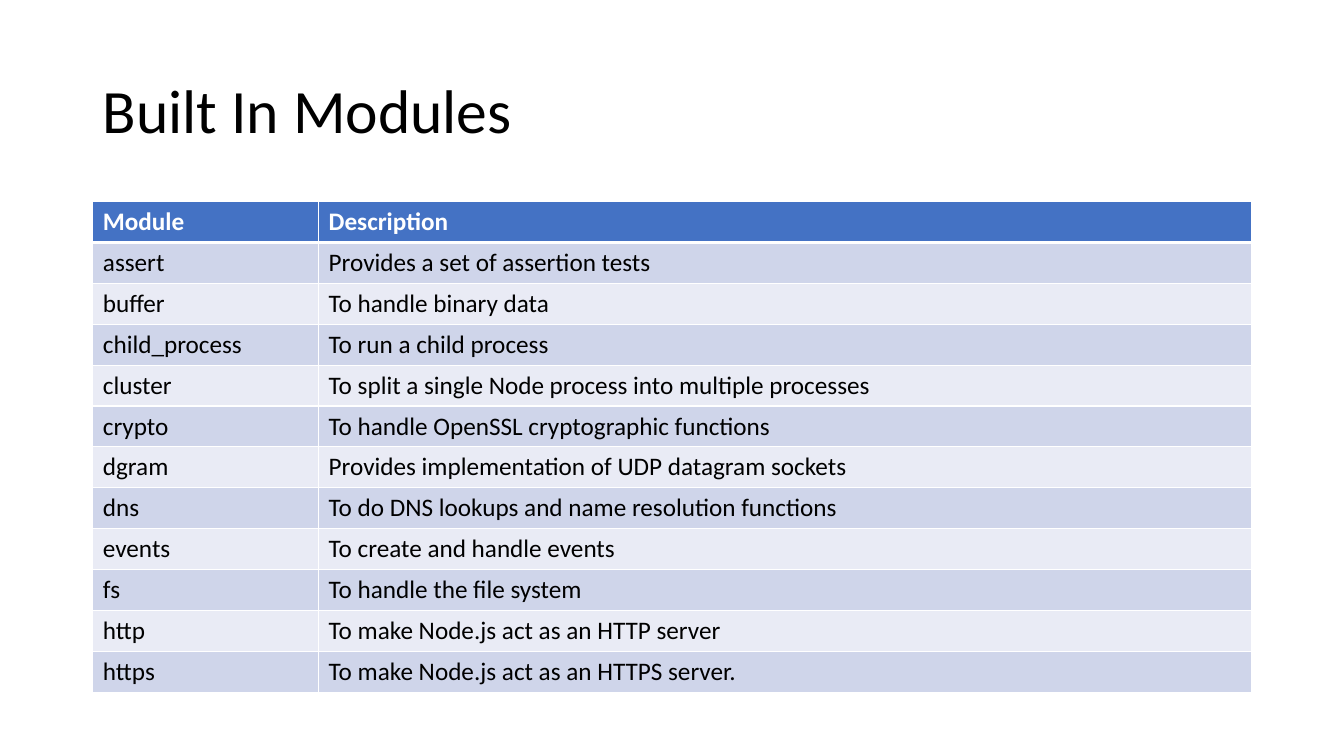
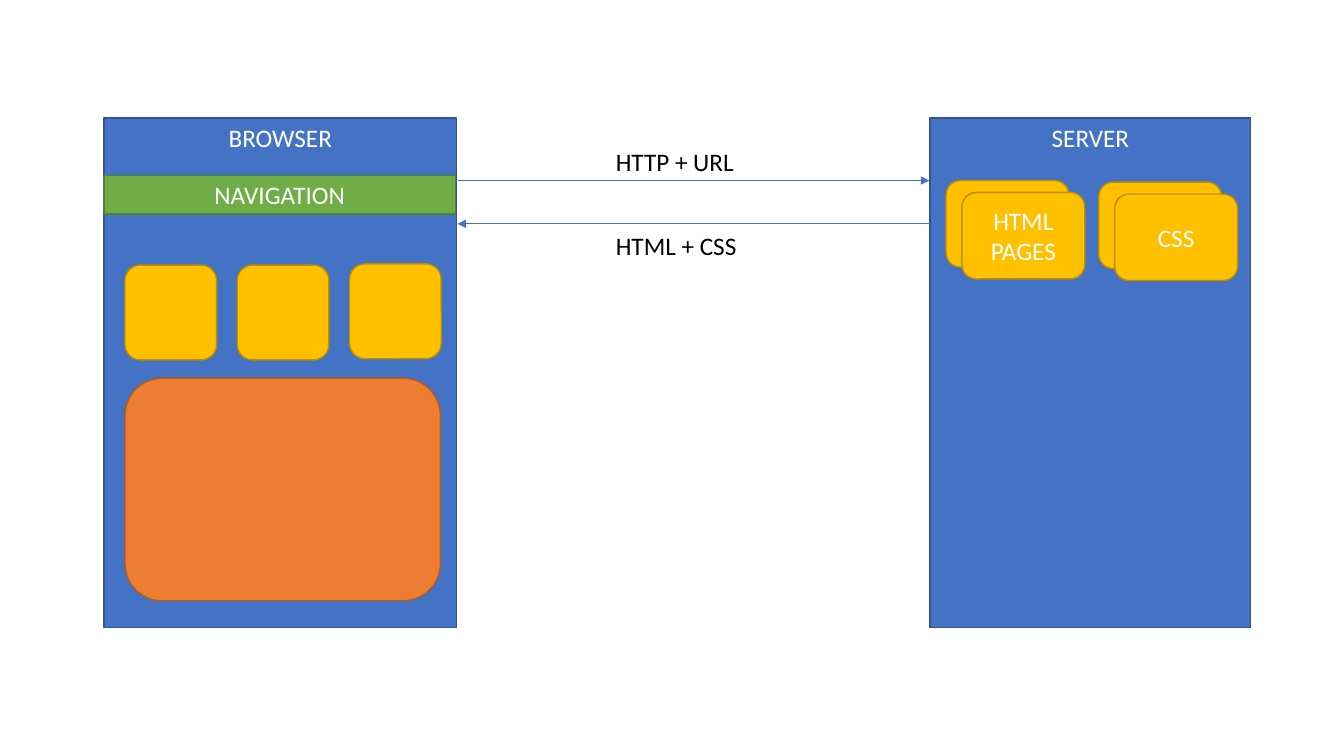
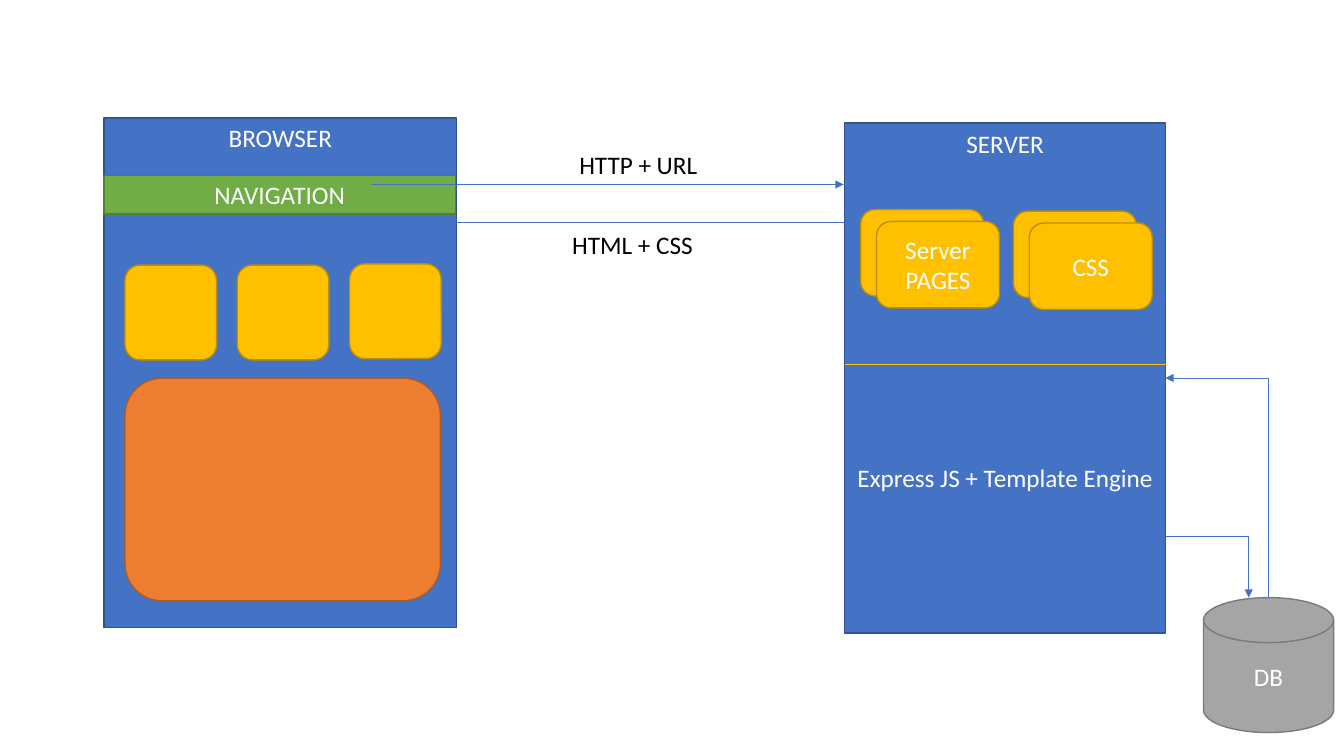
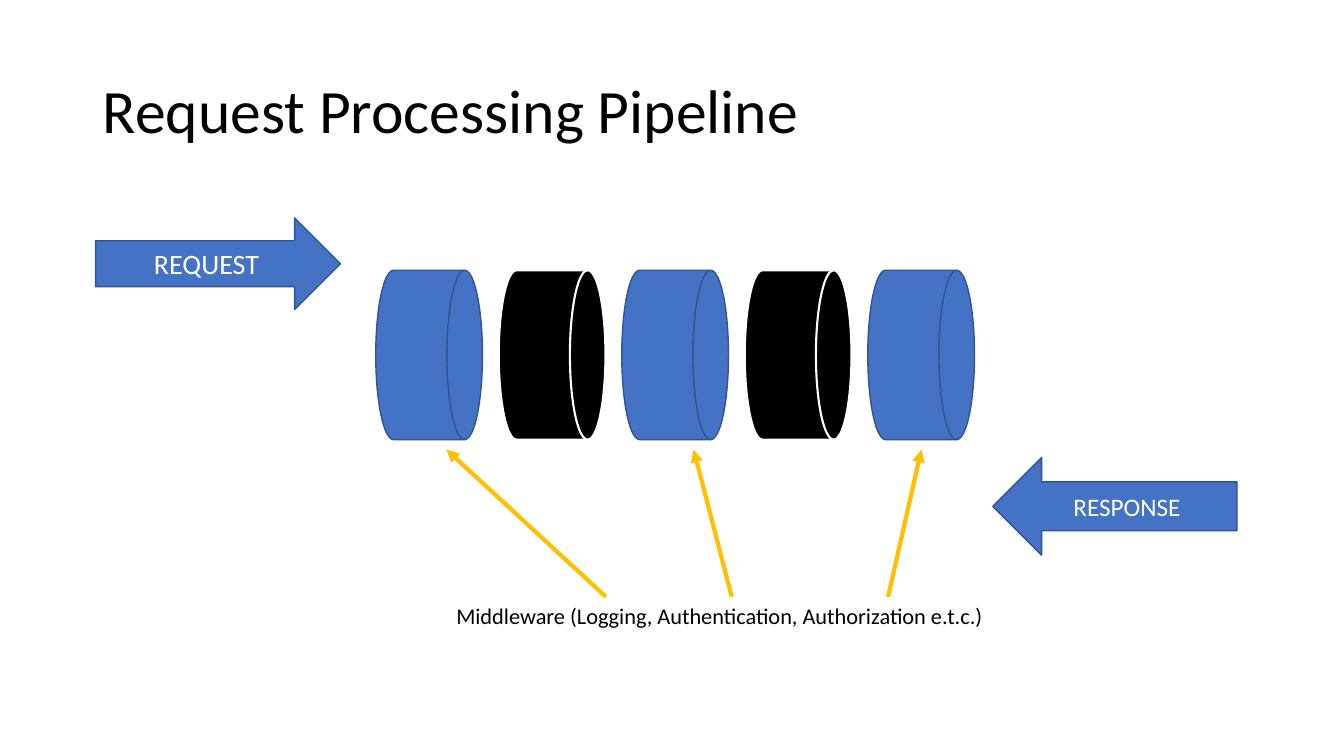
from dataclasses import dataclass

from lxml.etree import SubElement
from pptx import Presentation
from pptx.dml.color import RGBColor
from pptx.enum.shapes import MSO_CONNECTOR as Connector, MSO_SHAPE as Preset
from pptx.enum.text import MSO_ANCHOR as Anchor, MSO_AUTO_SIZE as AutoSize, PP_ALIGN as Align
from pptx.oxml.ns import qn
from pptx.util import Cm, Pt


@dataclass(frozen=True)
class Theme:
    font: str = "Calibri"
    black: str = "000000"
    white: str = "FFFFFF"
    blue: tuple = ("4472C4", "325491")
    green: tuple = ("70AD47", "538035")
    gold: tuple = ("FFC000", "BD8E00")
    orange: tuple = ("ED7D31", "AF5C24")
    gray: tuple = ("A5A5A5", "7A7A7A")
    ink: tuple = ("000000", "FFFFFF")
    bands: tuple = ("CFD5EA", "E9EBF5")
    title_size: int = 44
    large_size: int = 20
    text_size: int = 18
    note_size: int = 16


THEME = Theme()
TITLE_BOX = (2.34, 1.02, 29.21, 3.68)

MODULES = [
    ("Module", "Description"),
    ("assert", "Provides a set of assertion tests"),
    ("buffer", "To handle binary data"),
    ("child_process", "To run a child process"),
    ("cluster", "To split a single Node process into multiple processes"),
    ("crypto", "To handle OpenSSL cryptographic functions"),
    ("dgram", "Provides implementation of UDP datagram sockets"),
    ("dns", "To do DNS lookups and name resolution functions"),
    ("events", "To create and handle events"),
    ("fs", "To handle the file system"),
    ("http", "To make Node.js act as an HTTP server"),
    ("https", "To make Node.js act as an HTTPS server."),
]
MODULES_BOX = (2.34, 5.08, 29.21, 12.36)
MODULE_COLUMNS = (5.69, 23.52)

# Each exchange: server corner, top of its cards, card texts, lines and labels.
STATIC_SITE = {
    "server": (23.44, 2.97),
    "cards_top": 4.55,
    "cards": ("HTML PAGES", "CSS"),
    "lines": [((11.53, 4.55), (23.42, 4.55)), ((23.44, 5.64), (11.53, 5.64))],
    "labels": [("HTTP + URL", (15.27, 3.56, 3.53, 1.02)),
               ("HTML + CSS", (15.27, 5.69, 3.73, 1.02))],
}
DYNAMIC_SITE = {
    "server": (21.29, 3.1),
    "cards_top": 5.28,
    "cards": ("Server PAGES", "CSS"),
    "lines": [((9.37, 4.65), (21.26, 4.65)), ((21.26, 5.61), (9.35, 5.61))],
    "labels": [("HTTP + URL", (14.35, 3.63, 3.53, 1.02)),
               ("HTML + CSS", (14.17, 5.66, 3.73, 1.02))],
}
ENGINE = ("Express JS + Template Engine", (21.36, 11.53, 8.05, 1.02))
DATABASE_BOX = (30.33, 15.06, 3.28, 3.4)

MIDDLEWARE = ("Middleware (Logging, Authentication, Authorization e.t.c.)",
              (11.25, 15.04, 14.38, 0.94))
MIDDLEWARE_ARROWS = [(15.27, 11.25), (18.44, 17.48), (22.38, 23.22)]
DRUM_STYLES = (THEME.blue, THEME.ink, THEME.blue, THEME.ink, THEME.blue)


def rgb(value):
    return RGBColor.from_string(value)


def lengths(values):
    return [Cm(value) for value in values]


def write(frame, text, color, size=THEME.text_size, bold=False, align=Align.LEFT,
          spacing=None):
    frame.text = text
    paragraph = frame.paragraphs[0]
    for name, value in {"alignment": align, "line_spacing": spacing}.items():
        setattr(paragraph, name, value)
    font = paragraph.runs[0].font
    for name, value in {"name": THEME.font, "size": Pt(size), "bold": bold}.items():
        setattr(font, name, value)
    font.color.rgb = rgb(color)


def add_box(slide, preset, box, style, text="", size=THEME.text_size,
            anchor=Anchor.MIDDLE, line_width=1):
    shape = slide.shapes.add_shape(preset, *lengths(box))
    fill, outline = style
    shape.shadow.inherit = False
    shape.fill.solid()
    shape.fill.fore_color.rgb = rgb(fill)
    shape.line.color.rgb = rgb(outline)
    shape.line.width = Pt(line_width)
    shape.text_frame.vertical_anchor = anchor
    if text:
        write(shape.text_frame, text, THEME.white, size, align=Align.CENTER)
    return shape


def add_label(slide, text, box, color=THEME.black, size=THEME.text_size):
    frame = slide.shapes.add_textbox(*lengths(box)).text_frame
    frame.word_wrap = False
    frame.auto_size = AutoSize.SHAPE_TO_FIT_TEXT
    write(frame, text, color, size)


def add_line(slide, start, end, color=THEME.blue[0], width=0.5, arrow="tailEnd",
             kind=Connector.STRAIGHT):
    """Draw a connector; arrow is tailEnd (at end), headEnd (at start) or None."""
    line = slide.shapes.add_connector(kind, *lengths((*start, *end)))
    line.line.color.rgb = rgb(color)
    line.line.width = Pt(width)
    properties = line._element.spPr
    if arrow:
        SubElement(properties.find(qn("a:ln")), qn(f"a:{arrow}"), type="triangle")
    SubElement(properties, qn("a:effectLst"))
    if kind == Connector.ELBOW:
        properties.find(qn("a:prstGeom")).set("prst", "bentConnector2")
    return line


def add_titled_slide(presentation, title):
    slide = presentation.slides.add_slide(presentation.slide_layouts[5])
    placeholder = slide.shapes.title
    for name, value in zip(("left", "top", "width", "height"), lengths(TITLE_BOX)):
        setattr(placeholder, name, value)
    placeholder.text_frame.vertical_anchor = Anchor.MIDDLE
    write(placeholder.text_frame, title, THEME.black, THEME.title_size, spacing=0.9)
    return slide


def set_borders(cell, top, bottom):
    properties = cell._tc.get_or_add_tcPr()
    sides = {"lnL": 1, "lnR": 1, "lnT": top, "lnB": bottom}
    for position, (side, width) in enumerate(sides.items()):
        border = SubElement(properties, qn(f"a:{side}"), w=str(Pt(width)))
        properties.insert(position, border)
        fill = SubElement(border, qn("a:solidFill"))
        SubElement(fill, qn("a:srgbClr"), val=THEME.white)


def build_modules(presentation):
    slide = add_titled_slide(presentation, "Built In Modules")
    table = slide.shapes.add_table(len(MODULES), len(MODULE_COLUMNS),
                                   *lengths(MODULES_BOX)).table
    for column, width in zip(table.columns, MODULE_COLUMNS):
        column.width = Cm(width)
    for index, texts in enumerate(MODULES):
        header = index == 0
        fill = THEME.blue[0] if header else THEME.bands[(index - 1) % 2]
        for cell, text in zip(table.rows[index].cells, texts):
            write(cell.text_frame, text, THEME.white if header else THEME.black,
                  bold=header)
            cell.fill.solid()
            cell.fill.fore_color.rgb = rgb(fill)
            set_borders(cell, top=3 if index == 1 else 1, bottom=3 if header else 1)


def add_browser(slide):
    add_box(slide, Preset.RECTANGLE, (2.62, 2.97, 8.89, 12.85), THEME.blue,
            "BROWSER", anchor=Anchor.TOP)
    add_box(slide, Preset.RECTANGLE, (2.62, 4.42, 8.86, 0.97), THEME.green,
            "NAVIGATION")
    for column, top in enumerate((6.68, 6.68, 6.65)):
        add_box(slide, Preset.ROUNDED_RECTANGLE,
                (3.15 + 2.83 * column, top, 2.31, 2.39), THEME.gold)
    add_box(slide, Preset.ROUNDED_RECTANGLE, (3.15, 9.53, 7.95, 5.61), THEME.orange)


def add_server(slide, site):
    left, top = site["server"]
    server = add_box(slide, Preset.RECTANGLE, (left, top, 8.08, 12.85), THEME.blue,
                     "SERVER", anchor=Anchor.TOP)
    for column, text in enumerate(site["cards"]):
        card_left = left + 0.4 + 3.85 * column
        card_top = site["cards_top"] + 0.04 * column
        for shift_x, shift_y, card_text in ((0, 0, ""), (0.4, 0.3, text)):
            add_box(slide, Preset.ROUNDED_RECTANGLE,
                    (card_left + shift_x, card_top + shift_y, 3.1, 2.18),
                    THEME.gold, card_text)
    return server


def build_exchange(presentation, site):
    slide = presentation.slides.add_slide(presentation.slide_layouts[6])
    add_browser(slide)
    server = add_server(slide, site)
    for start, end in site["lines"]:
        add_line(slide, start, end)
    for text, box in site["labels"]:
        add_label(slide, text, box)
    return slide, server


def build_dynamic_exchange(presentation):
    slide, server = build_exchange(presentation, DYNAMIC_SITE)
    add_label(slide, *ENGINE, color=THEME.white)
    add_line(slide, (21.29, 9.17), (29.39, 9.17), THEME.gold[0], arrow=None)
    add_line(slide, (29.39, 13.51), (31.47, 15.06), kind=Connector.ELBOW)
    reply = add_line(slide, (29.39, 9.53), (31.97, 15.06), arrow="headEnd",
                     kind=Connector.ELBOW)
    database = add_box(slide, Preset.FLOWCHART_MAGNETIC_DISK, DATABASE_BOX,
                       THEME.gray, "DB")
    reply.begin_connect(server, 3)
    reply.end_connect(database, 0)


def build_pipeline(presentation):
    slide = add_titled_slide(presentation, "Request Processing Pipeline")
    add_box(slide, Preset.RIGHT_ARROW, (2.41, 5.49, 6.17, 2.31), THEME.blue,
            "REQUEST", THEME.large_size)
    add_box(slide, Preset.LEFT_ARROW, (25.02, 11.53, 6.15, 2.46), THEME.blue,
            "RESPONSE")
    for index, style in enumerate(DRUM_STYLES):
        add_box(slide, Preset.FLOWCHART_DIRECT_ACCESS_STORAGE,
                (9.47 + 3.1 * index, 6.81, 2.69, 4.27), style,
                line_width=1.5 if style == THEME.ink else 1)
    for start, end in MIDDLEWARE_ARROWS:
        add_line(slide, (start, 15.04), (end, 11.33), THEME.gold[0], width=3)
    add_label(slide, *MIDDLEWARE, size=THEME.note_size)


def main():
    presentation = Presentation()
    presentation.slide_width, presentation.slide_height = Cm(33.87), Cm(19.05)
    build_modules(presentation)
    build_exchange(presentation, STATIC_SITE)
    build_dynamic_exchange(presentation)
    build_pipeline(presentation)
    presentation.save("out.pptx")


if __name__ == "__main__":
    main()
